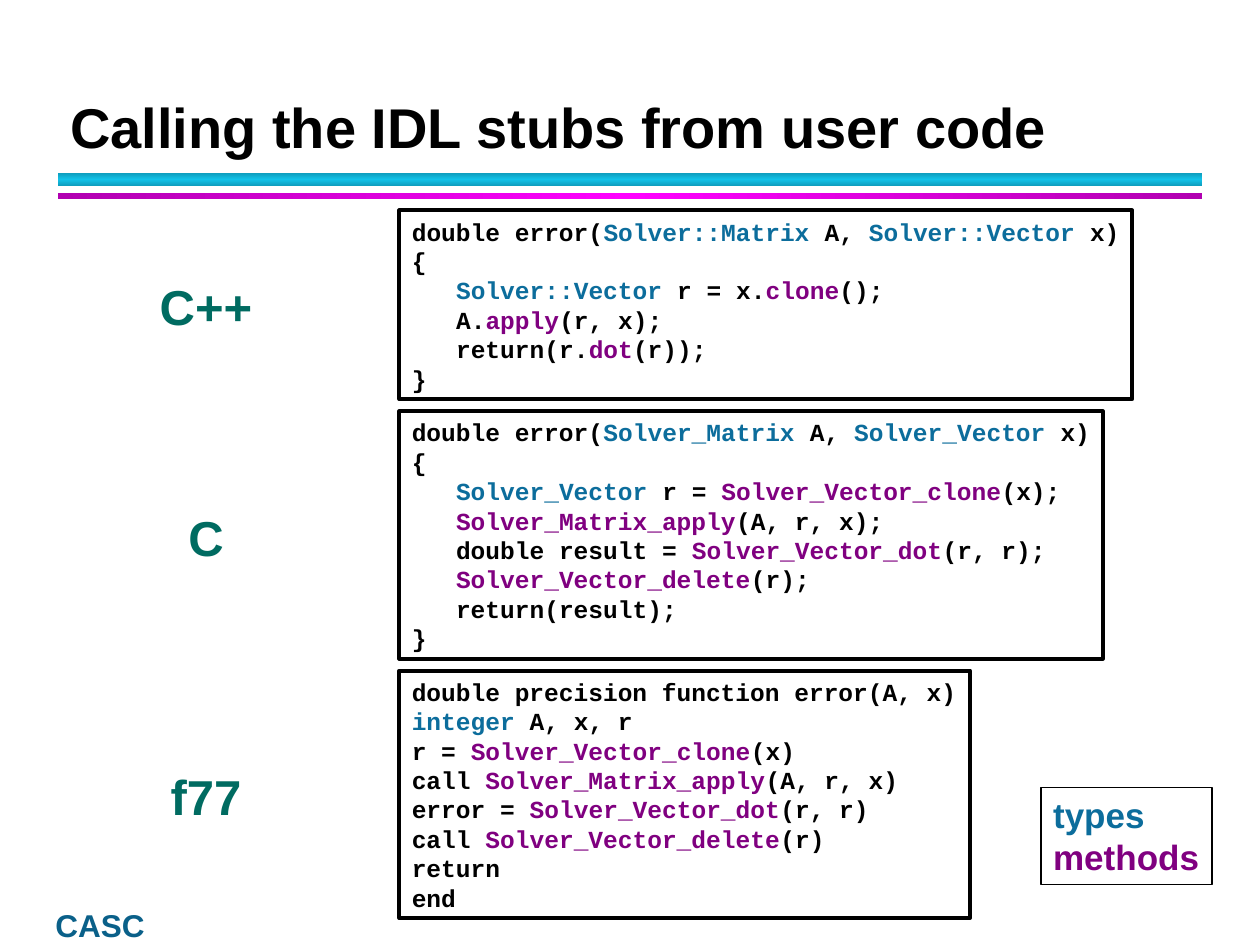
"""Build the slide on calling IDL stubs from C++, C and f77."""
import copy
import dataclasses

import pptx
import pptx.util
from pptx.dml.color import RGBColor
from pptx.enum.shapes import MSO_SHAPE
from pptx.enum.text import MSO_ANCHOR, PP_ALIGN
from pptx.oxml.ns import qn


@dataclasses.dataclass(frozen=True)
class Theme:
    sans: str = "Arial"
    mono: str = "Courier New"
    ink: str = "000000"
    types: str = "0C6D9C"
    methods: str = "800080"
    language: str = "006B61"
    footer: str = "0A6089"
    cyan: tuple = ("0E9AB9", "12C2E9", "0E9AB9")
    magenta: tuple = ("B100B1", "FF00FF", "B100B1")
    title_size: int = 32
    language_size: int = 28
    legend_size: int = 20
    footer_size: int = 18
    code_size: int = 14


THEME = Theme()
COLUMNS, ROWS = 100, 75
PAD_X, PAD_Y = 1, 0.5
CHAR_WIDTH, LINE_HEIGHT = 1.17, 2.33
INDENT = 3 * CHAR_WIDTH
CODE_LEFT, CODE_TOP, CODE_GAP = 31.7, 16.7, 0.95
LANGUAGE_CENTER = 16.35

TOKEN_COLORS = {
    **dict.fromkeys(
        ["types", "integer", "Solver::Matrix", "Solver::Vector",
         "Solver_Matrix", "Solver_Vector"], THEME.types),
    **dict.fromkeys(
        ["methods", "clone", "apply", "dot", "Solver_Vector_clone", "Solver_Matrix_apply",
         "Solver_Vector_dot", "Solver_Vector_delete"], THEME.methods),
}

LISTINGS = {
    "C++": """double error(|Solver::Matrix| A, |Solver::Vector| x)
{
   |Solver::Vector| r = x.|clone|();
   A.|apply|(r, x);
   return(r.|dot|(r));
}""",
    "C": """double error(|Solver_Matrix| A, |Solver_Vector| x)
{
   |Solver_Vector| r = |Solver_Vector_clone|(x);
   |Solver_Matrix_apply|(A, r, x);
   double result = |Solver_Vector_dot|(r, r);
   |Solver_Vector_delete|(r);
   return(result);
}""",
    "f77": """double precision function error(A, x)
|integer| A, x, r
r = |Solver_Vector_clone|(x)
call |Solver_Matrix_apply|(A, r, x)
error = |Solver_Vector_dot|(r, r)
call |Solver_Vector_delete|(r)
return
end""",
}


class SlideBuilder:
    """Draws themed elements on one slide, placed in grid columns and rows."""

    def __init__(self, deck, theme):
        self.theme = theme
        self.column = deck.slide_width / COLUMNS
        self.row = deck.slide_height / ROWS
        self.slide = deck.slides.add_slide(deck.slide_layouts[6])

    def place(self, left, top, width, height):
        return (round(left * self.column), round(top * self.row),
                round(width * self.column), round(height * self.row))

    def rectangle(self, area):
        box = self.slide.shapes.add_shape(MSO_SHAPE.RECTANGLE, *self.place(*area))
        box.shadow.inherit = False
        return box

    def band(self, area, colors, angle):
        stripe = self.rectangle(area)
        stripe.line.fill.background()
        stripe.fill.gradient()
        stripe.fill.gradient_angle = angle
        stop_list = next(stripe.fill._xPr.iter(qn("a:gsLst")))
        stop_list.append(copy.deepcopy(stop_list[0]))
        for index, (stop, color) in enumerate(zip(stripe.fill.gradient_stops, colors)):
            stop.position = index / (len(colors) - 1)
            stop.color.rgb = RGBColor.from_string(color)

    def frame_text(self, frame, anchor, pad_x=PAD_X, pad_y=PAD_Y):
        frame.word_wrap = False
        frame.vertical_anchor = anchor
        frame.margin_left = frame.margin_right = round(pad_x * self.column)
        frame.margin_top = frame.margin_bottom = round(pad_y * self.row)

    def style(self, paragraph, size, font):
        paragraph.font.size = pptx.util.Pt(size)
        paragraph.font.name = font
        paragraph.font.bold = True

    def label(self, area, text, size, color, align=PP_ALIGN.LEFT,
              anchor=MSO_ANCHOR.TOP, leading=None, **padding):
        frame = self.slide.shapes.add_textbox(*self.place(*area)).text_frame
        self.frame_text(frame, anchor, **padding)
        paragraph = frame.paragraphs[0]
        paragraph.text = text
        paragraph.alignment = align
        if leading:
            paragraph.line_spacing = pptx.util.Pt(leading)
        self.style(paragraph, size, self.theme.sans)
        paragraph.font.color.rgb = RGBColor.from_string(color)

    def marked_box(self, area, source, size, font, border):
        box = self.rectangle(area)
        box.fill.background()
        box.line.color.rgb = RGBColor.from_string(self.theme.ink)
        box.line.width = pptx.util.Pt(border)
        frame = box.text_frame
        self.frame_text(frame, MSO_ANCHOR.TOP)
        for number, line in enumerate(source.splitlines()):
            paragraph = frame.add_paragraph() if number else frame.paragraphs[0]
            paragraph.alignment = PP_ALIGN.LEFT
            self.style(paragraph, size, font)
            if line.startswith(" "):
                indent = str(round(INDENT * self.column))
                paragraph._p.get_or_add_pPr().set("marL", indent)
                line = line.lstrip()
            for token in filter(None, line.split("|")):
                run = paragraph.add_run()
                run.text = token
                color = TOKEN_COLORS.get(token, self.theme.ink)
                run.font.color.rgb = RGBColor.from_string(color)

    def listing(self, top, language, source):
        lines = source.replace("|", "").splitlines()
        width = max(map(len, lines)) * CHAR_WIDTH + 2 * PAD_X
        height = len(lines) * LINE_HEIGHT + 2 * PAD_Y
        self.marked_box((CODE_LEFT, top, width, height), source,
                        self.theme.code_size, self.theme.mono, 2.25)
        label_width, label_height = 10, 5.7
        self.label((LANGUAGE_CENTER - label_width / 2, top + (height - label_height) / 2 + 0.15,
                    label_width, label_height), language, self.theme.language_size,
                   self.theme.language, PP_ALIGN.CENTER)
        return top + height + CODE_GAP


def main():
    deck = pptx.Presentation()
    deck.slide_width = pptx.util.Inches(10)
    deck.slide_height = pptx.util.Inches(7.5)
    builder = SlideBuilder(deck, THEME)

    builder.label((4.4, 72.1, 7.7, 2.8), "CASC", THEME.footer_size, THEME.footer,
                  anchor=MSO_ANCHOR.BOTTOM, leading=20, pad_x=0, pad_y=0)
    builder.band((4.6, 13.7, 90.8, 1.1), THEME.cyan, 90)
    builder.band((4.6, 15.3, 90.8, 0.5), THEME.magenta, 0)
    builder.label((4.6, 3.3, 90.6, 9.9), "Calling the IDL stubs from user code",
                  THEME.title_size, THEME.ink, anchor=MSO_ANCHOR.BOTTOM, leading=36)

    top = CODE_TOP
    for language, source in LISTINGS.items():
        top = builder.listing(top, language, source)

    builder.marked_box((82.6, 62.5, 13.6, 7.7), "types\nmethods",
                       THEME.legend_size, THEME.sans, 1)
    deck.save("out.pptx")


if __name__ == "__main__":
    main()
